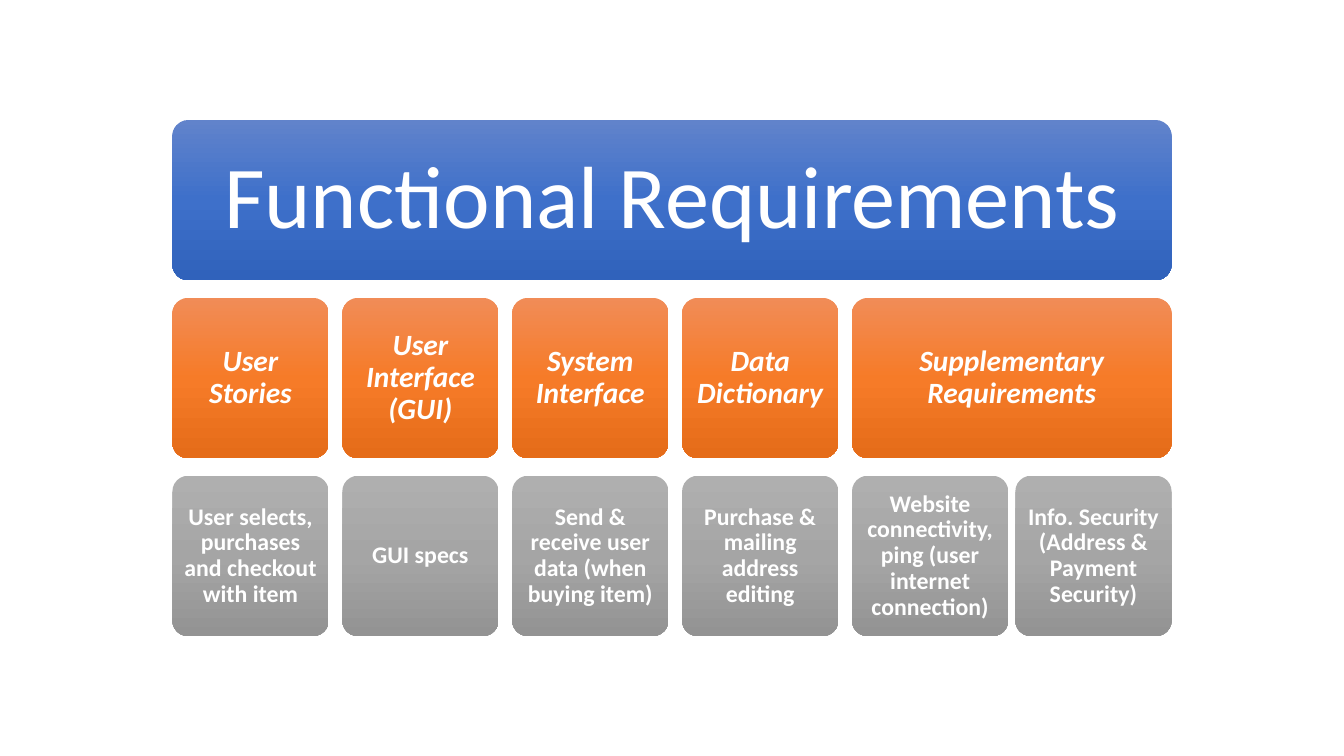
from copy import deepcopy

from pptx import Presentation
from pptx.dml.color import RGBColor
from pptx.enum.shapes import MSO_SHAPE
from pptx.enum.text import MSO_ANCHOR, PP_ALIGN
from pptx.oxml.ns import qn
from pptx.util import Inches, Pt

BLUE = ("6183CB", "3E70CA", "3062BB")
ORANGE = ("F18C57", "F67B28", "E56C19")
GRAY = ("AFAFAF", "A5A5A5", "939393")

# Grid: three rows, six cards across the full width
LEFT, TOP, FULL_W = 1.71, 1.19, 9.91
CARD_W, CARD_H = 1.55, 1.59
ROW_PITCH = (4.72 - TOP) / 2
DETAIL_GAP = 0.07

TOPICS = [
    ("User Stories", ["User selects, purchases and checkout with item"]),
    ("User Interface (GUI)", ["GUI specs"]),
    ("System Interface", ["Send & receive user data (when buying item)"]),
    ("Data Dictionary", ["Purchase & mailing address editing"]),
    ("Supplementary Requirements",
     ["Website connectivity, ping (user internet connection)",
      "Info. Security (Address & Payment Security)"]),
]


def rgb(value):
    return RGBColor.from_string(value)


class Deck:
    font = "Calibri"
    text_color = "FFFFFF"

    def __init__(self, slide):
        self.slide = slide

    def gradient(self, sp, colors):
        """Fill from top to bottom with evenly spaced colours."""
        fill = sp.fill
        fill.gradient()
        fill.gradient_angle = 270
        stops = sp._element.spPr.find(qn("a:gradFill")).find(qn("a:gsLst"))
        while len(stops) < len(colors):
            stops.append(deepcopy(stops[0]))
        for i, (stop, color) in enumerate(zip(fill.gradient_stops, colors)):
            stop.position = i / (len(colors) - 1)
            stop.color.rgb = rgb(color)

    def card(self, text, x, row, w, colors, size, inset, bold=True, italic=False):
        sp = self.slide.shapes.add_shape(
            MSO_SHAPE.ROUNDED_RECTANGLE, Inches(x), Inches(TOP + row * ROW_PITCH),
            Inches(w), Inches(CARD_H))
        sp.adjustments[0] = 0.1
        sp.shadow.inherit = False
        sp.line.fill.background()
        self.gradient(sp, colors)

        tf = sp.text_frame
        tf.word_wrap = True
        tf.vertical_anchor = MSO_ANCHOR.MIDDLE
        tf.margin_left = tf.margin_right = Inches(inset)
        tf.margin_top = tf.margin_bottom = Inches(inset)
        p = tf.paragraphs[0]
        p.text = text
        p.alignment = PP_ALIGN.CENTER
        p.line_spacing = 0.9
        p.font.name, p.font.size = self.font, Pt(size)
        p.font.bold, p.font.italic = bold, italic
        p.font.color.rgb = rgb(self.text_color)


prs = Presentation()
prs.slide_width, prs.slide_height = Inches(13.33), Inches(7.5)
deck = Deck(prs.slides.add_slide(prs.slide_layouts[6]))

# Heading
deck.card("Functional Requirements", LEFT, 0, FULL_W, BLUE, 63, 0.26, bold=False)

# Each topic spans its details
widths = [len(details) * (CARD_W + DETAIL_GAP) - DETAIL_GAP for _, details in TOPICS]
topic_gap = (FULL_W - sum(widths)) / (len(TOPICS) - 1)
x = LEFT
for (topic, details), w in zip(TOPICS, widths):
    deck.card(topic, x, 1, w, ORANGE, 21, 0.09, italic=True)
    for i, detail in enumerate(details):
        deck.card(detail, x + i * (CARD_W + DETAIL_GAP), 2, CARD_W, GRAY, 17, 0.07)
    x += w + topic_gap

prs.save("out.pptx")
